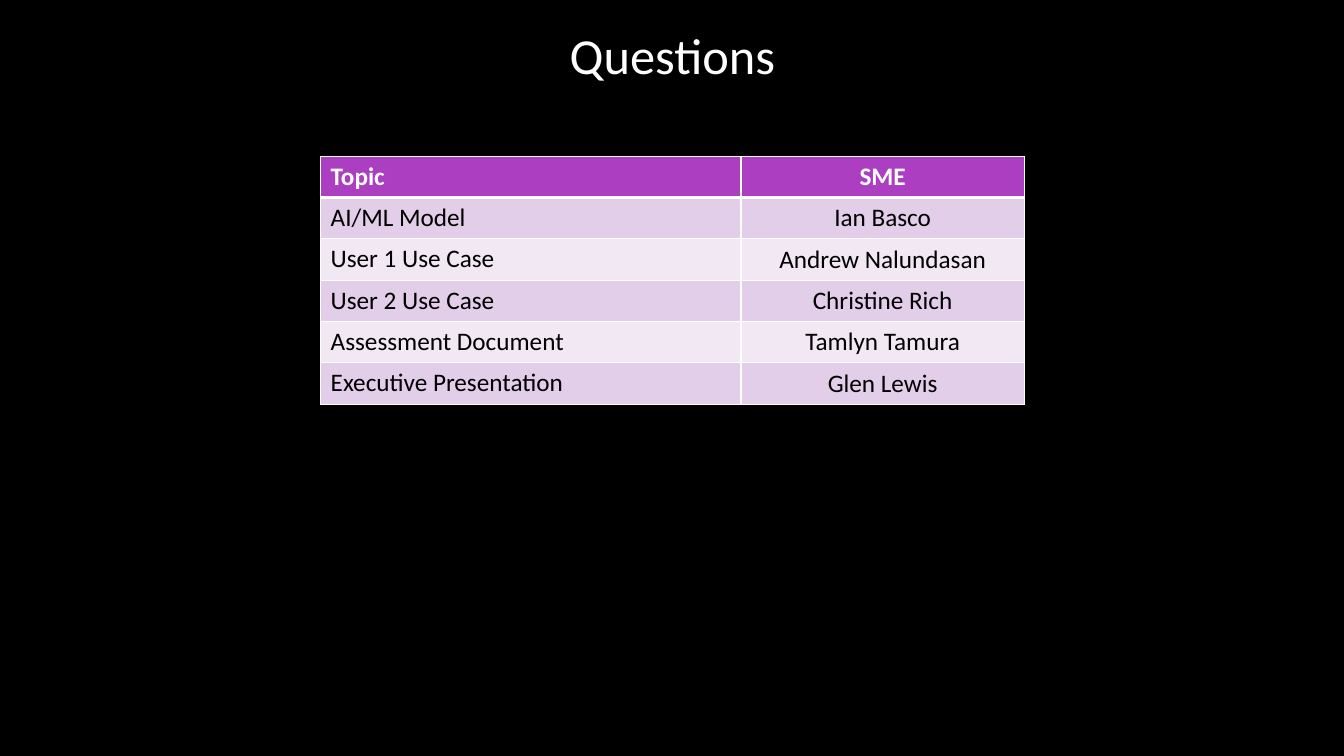
from lxml.etree import SubElement
from pptx import Presentation
from pptx.dml.color import RGBColor
from pptx.enum.text import MSO_ANCHOR, PP_ALIGN
from pptx.oxml.ns import qn
from pptx.util import Inches, Pt

BLACK, WHITE = "000000", "FFFFFF"
HEADER_FILL = "AC3EC1"
BAND_FILLS = ("F1E8F4", "E3CEE9")
COL_WIDTHS = (4.17, 2.81)
ROW_HEIGHT = 0.41
ROWS = [
    ("Topic", "SME"),
    ("AI/ML Model", "Ian Basco"),
    ("User 1 Use Case", "Andrew Nalundasan"),
    ("User 2 Use Case", "Christine Rich"),
    ("Assessment Document", "Tamlyn Tamura"),
    ("Executive Presentation", "Glen Lewis"),
]


def rgb(value):
    return RGBColor.from_string(value)


def write(tf, text, color, align, **formats):
    p = tf.paragraphs[0]
    p.alignment = align
    r = p.add_run()
    r.text = text
    r.font.color.rgb = rgb(color)
    for name, value in {"name": "Calibri", **formats}.items():
        setattr(r.font, name, value)


def set_borders(cell, widths):
    tc_pr = cell._tc.get_or_add_tcPr()
    for side, width in widths.items():
        ln = SubElement(tc_pr, qn(f"a:ln{side}"), w=str(Pt(width)))
        SubElement(SubElement(ln, qn("a:solidFill")), qn("a:srgbClr"), val=WHITE)


def add_title(s, left, top, width, height):
    sp = s.shapes.add_textbox(*map(Inches, (left, top, width, height)))
    tf = sp.text_frame
    tf.word_wrap = True
    write(tf, "Questions", WHITE, PP_ALIGN.CENTER, size=Pt(36))


def add_topics(s, left, top):
    box = (left, top, sum(COL_WIDTHS), ROW_HEIGHT * len(ROWS))
    table = s.shapes.add_table(len(ROWS), len(COL_WIDTHS), *map(Inches, box)).table
    for column, width in zip(table.columns, COL_WIDTHS):
        column.width = Inches(width)
    for i, row in enumerate(ROWS):
        table.rows[i].height = Inches(ROW_HEIGHT)
        header = i == 0
        for j, text in enumerate(row):
            cell = table.cell(i, j)
            set_borders(cell, {"L": 1, "R": 1, "T": 3 if i == 1 else 1, "B": 3 if header else 1})
            cell.fill.solid()
            cell.fill.fore_color.rgb = rgb(HEADER_FILL if header else BAND_FILLS[i % 2])
            cell.vertical_anchor = MSO_ANCHOR.MIDDLE if j else MSO_ANCHOR.TOP
            write(cell.text_frame, text, WHITE if header else BLACK,
                  PP_ALIGN.CENTER if j else PP_ALIGN.LEFT, size=Pt(18), bold=header)


def main():
    prs = Presentation()
    prs.slide_width, prs.slide_height = Inches(13.33), Inches(7.5)
    s = prs.slides.add_slide(prs.slide_layouts[6])
    s.background.fill.solid()
    s.background.fill.fore_color.rgb = rgb(BLACK)
    add_title(s, 0.98, 0.19, 11.38, 0.71)
    add_topics(s, 3.18, 1.55)
    prs.save("out.pptx")


if __name__ == "__main__":
    main()
